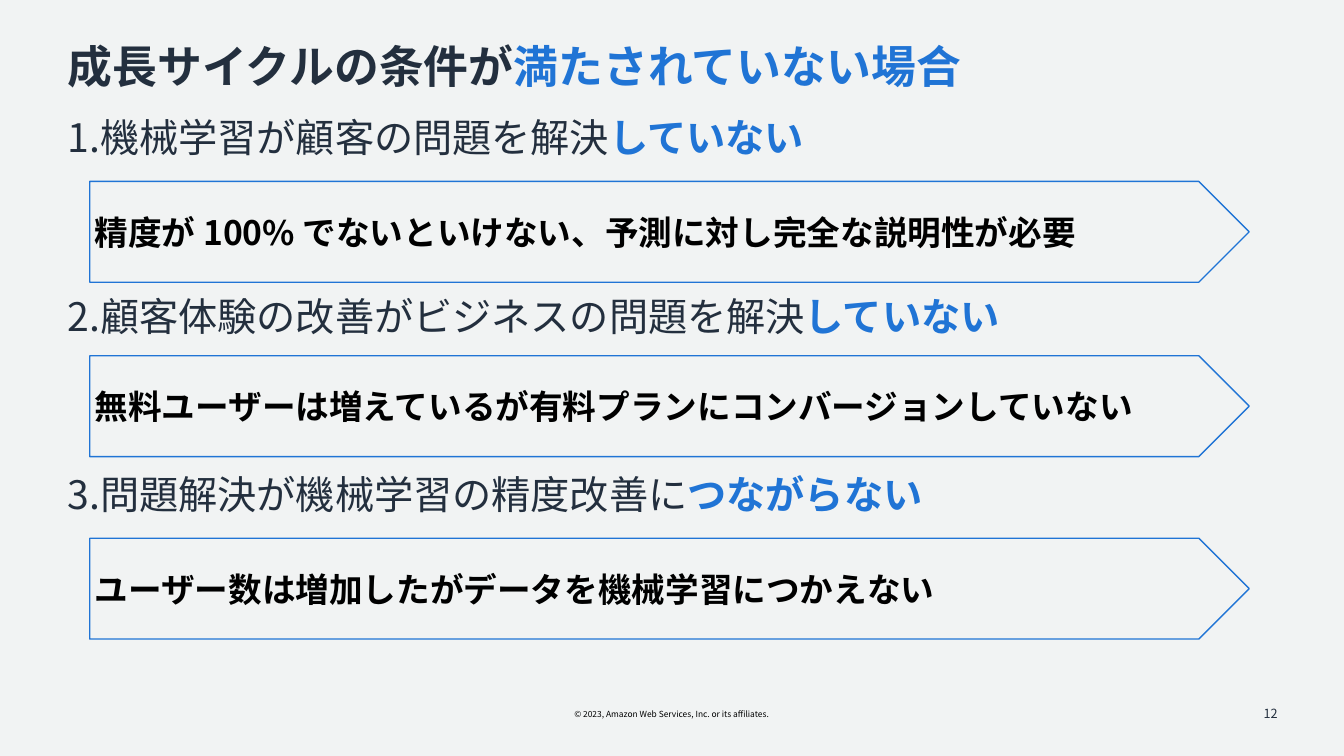
from dataclasses import dataclass

from pptx import Presentation
from pptx.dml.color import RGBColor
from pptx.enum.shapes import MSO_SHAPE
from pptx.enum.text import MSO_ANCHOR, PP_ALIGN
from pptx.util import Inches, Pt

# Content: plain part, emphasised part, and the example in the arrow
TITLE = ("成長サイクルの条件が", "満たされていない場合")
CONDITIONS = [
    ("1.機械学習が顧客の問題を解決", "していない",
     "精度が 100% でないといけない、予測に対し完全な説明性が必要"),
    ("2.顧客体験の改善がビジネスの問題を解決", "していない",
     "無料ユーザーは増えているが有料プランにコンバージョンしていない"),
    ("3.問題解決が機械学習の精度改善に", "つながらない",
     "ユーザー数は増加したがデータを機械学習につかえない"),
]
COPYRIGHT = "© 2023, Amazon Web Services, Inc. or its affiliates."
PAGE_NUMBER = "12"


@dataclass(frozen=True)
class Theme:
    font: str = "Noto Sans CJK JP"
    background: RGBColor = RGBColor(0xF1, 0xF3, 0xF3)
    ink: RGBColor = RGBColor(0x23, 0x2F, 0x3E)
    accent: RGBColor = RGBColor(0x20, 0x74, 0xD5)
    black: RGBColor = RGBColor(0, 0, 0)
    title_size: int = 32
    heading_size: int = 28
    example_size: int = 24
    number_size: int = 9
    copyright_size: int = 6


THEME = Theme()

# Layout in inches
LEFT = 0.67
HEADING_TOP, HEADING_PITCH = 1.13, 1.77
ARROW_LEFT, ARROW_WIDTH, ARROW_HEIGHT = 0.89, 11.5, 1
ARROW_TOPS = (1.8, 3.53, 5.34)


def add_run(paragraph, text, size, color, bold=False):
    run = paragraph.add_run()
    run.text = text
    run.font.name = THEME.font
    run.font.size = Pt(size)
    run.font.bold = bold
    run.font.color.rgb = color


def set_frame(text_frame, side, anchor=MSO_ANCHOR.TOP, wrap=True):
    text_frame.word_wrap = wrap
    text_frame.vertical_anchor = anchor
    text_frame.margin_left = text_frame.margin_right = Inches(side)
    text_frame.margin_top = text_frame.margin_bottom = Inches(0.05)
    return text_frame.paragraphs[0]


def add_text_box(slide, left, top, width, height):
    return slide.shapes.add_textbox(
        Inches(left), Inches(top), Inches(width), Inches(height))


def add_heading(slide, top, plain, emphasis):
    box = add_text_box(slide, LEFT, top, 12, 0.6)
    paragraph = set_frame(box.text_frame, 0)
    paragraph.line_spacing = 0.9
    add_run(paragraph, plain, THEME.heading_size, THEME.ink)
    add_run(paragraph, emphasis, THEME.heading_size, THEME.accent, True)


def add_arrow(slide, top, example):
    arrow = slide.shapes.add_shape(
        MSO_SHAPE.PENTAGON, Inches(ARROW_LEFT), Inches(top),
        Inches(ARROW_WIDTH), Inches(ARROW_HEIGHT))
    arrow.shadow.inherit = False
    arrow.fill.background()
    arrow.line.color.rgb = THEME.accent
    arrow.line.width = Pt(1)
    paragraph = set_frame(arrow.text_frame, 0.05, MSO_ANCHOR.MIDDLE)
    paragraph.alignment = PP_ALIGN.LEFT
    add_run(paragraph, example, THEME.example_size, THEME.black, True)


def main():
    presentation = Presentation()
    presentation.slide_width = Inches(13.33)
    presentation.slide_height = Inches(7.5)
    slide = presentation.slides.add_slide(presentation.slide_layouts[5])
    slide.background.fill.solid()
    slide.background.fill.fore_color.rgb = THEME.background

    # Title
    title = slide.shapes.title
    title.left, title.top = Inches(LEFT), Inches(0.39)
    title.width, title.height = Inches(11.98), Inches(0.7)
    paragraph = set_frame(title.text_frame, 0)
    paragraph.alignment = PP_ALIGN.LEFT
    paragraph.line_spacing = 0.9
    for text, color in zip(TITLE, (THEME.ink, THEME.accent)):
        add_run(paragraph, text, THEME.title_size, color, True)

    # Conditions, each with its example
    for index, (plain, emphasis, example) in enumerate(CONDITIONS):
        add_heading(slide, HEADING_TOP + index * HEADING_PITCH, plain, emphasis)
        add_arrow(slide, ARROW_TOPS[index], example)

    # Footer
    copyright_box = add_text_box(slide, 5.49, 6.99, 2.34, 0.2)
    paragraph = set_frame(copyright_box.text_frame, 0.1, wrap=False)
    paragraph.alignment = PP_ALIGN.CENTER
    add_run(paragraph, COPYRIGHT, THEME.copyright_size, THEME.black)

    number_box = add_text_box(slide, 9.77, 6.88, 3, 0.4)
    paragraph = set_frame(number_box.text_frame, 0.1, MSO_ANCHOR.MIDDLE)
    paragraph.alignment = PP_ALIGN.RIGHT
    add_run(paragraph, PAGE_NUMBER, THEME.number_size, THEME.ink)

    presentation.save("out.pptx")


if __name__ == "__main__":
    main()
